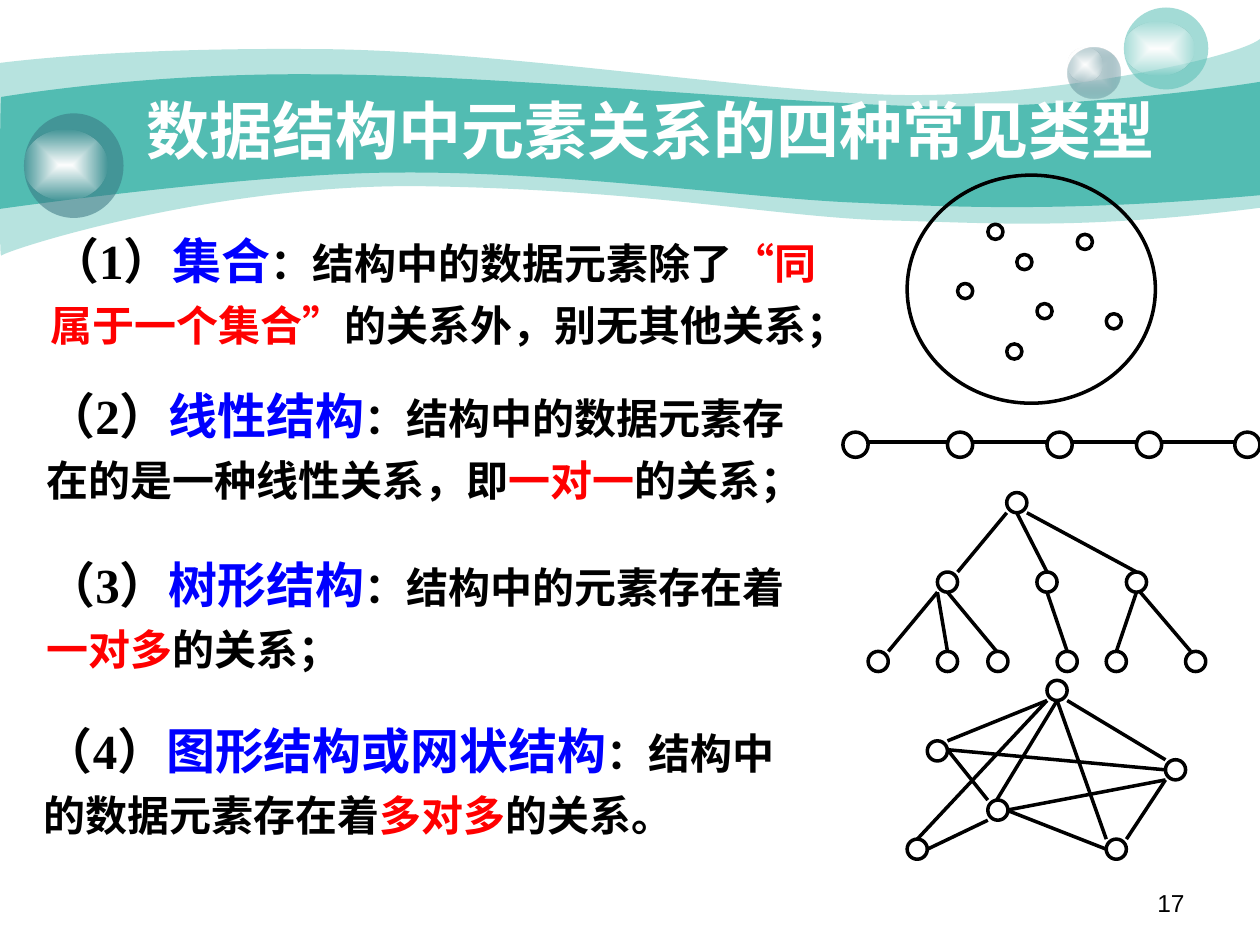
from lxml.etree import SubElement
from pptx import Presentation
from pptx.dml.color import RGBColor
from pptx.enum.lang import MSO_LANGUAGE_ID
from pptx.enum.shapes import MSO_CONNECTOR, MSO_SHAPE
from pptx.enum.text import MSO_ANCHOR, MSO_AUTO_SIZE, PP_ALIGN
from pptx.oxml.ns import qn
from pptx.util import Pt

PX = 9144  # 100 px to the inch
BLACK = RGBColor(0x00, 0x00, 0x00)
WHITE = RGBColor(0xFF, 0xFF, 0xFF)
BLUE = RGBColor(0x00, 0x00, 0xFF)
RED = RGBColor(0xFF, 0x00, 0x00)
TEAL = RGBColor(0x52, 0xBC, 0xB2)
SLATE = RGBColor(0x37, 0x73, 0x7F)
MIST = RGBColor(0xCC, 0xDB, 0xDE)


def emu(*lengths):
    return [length * PX for length in lengths]


def set_alpha(color_element, percent):
    SubElement(color_element, qn("a:alpha")).set("val", str(percent * 1000))


def fill_solid(shape, color, percent=100):
    shape.fill.solid()
    shape.fill.fore_color.rgb = color
    if percent < 100:
        set_alpha(shape.fill._xPr.find(f".//{qn('a:srgbClr')}"), percent)


def fill_glow(shape, center, edge, edge_percent):
    """Gradient that runs from the middle of the shape to its edges."""
    shape.fill.gradient()
    gradient = shape.fill._xPr.find(qn("a:gradFill"))
    for stop, color in zip(shape.fill.gradient_stops, (center, edge)):
        stop.color.rgb = color
    for position, element in zip(("0", "100000"), gradient.iter(qn("a:gs"))):
        element.set("pos", position)
    set_alpha(list(gradient.iter(qn("a:srgbClr")))[-1], edge_percent)
    gradient.remove(gradient.find(qn("a:lin")))
    path = SubElement(gradient, qn("a:path"), {"path": "rect"})
    SubElement(path, qn("a:fillToRect"), dict.fromkeys("ltrb", "50000"))


def add_oval(shapes, left, top, width, height):
    oval = shapes.add_shape(MSO_SHAPE.OVAL, *emu(left, top, width, height))
    oval.shadow.inherit = False
    oval.line.fill.background()
    return oval


def add_ring(shapes, left, top, width, height):
    ring = add_oval(shapes, left, top, width, height)
    ring.fill.background()
    ring.line.color.rgb = BLACK
    ring.line.width = Pt(2)


def add_edge(shapes, start_x, start_y, end_x, end_y):
    edge = shapes.add_connector(
        MSO_CONNECTOR.STRAIGHT, *emu(start_x, start_y, end_x, end_y))
    edge.line.color.rgb = BLACK
    edge.line.width = Pt(2)
    SubElement(edge._element.spPr, qn("a:effectLst"))


def bend(segments):
    """Turn each three straight segments into one cubic curve."""
    for index in range(0, len(segments), 3):
        first, *others = segments[index:index + 3]
        first.tag = qn("a:cubicBezTo")
        for segment in others:
            first.append(segment[0])
            segment.getparent().remove(segment)


def add_wave(shapes, upper, lower, color, percent=100):
    """Band between two chains of cubic curves, each given by its control points."""
    builder = shapes.build_freeform(*upper[0], scale=PX)
    builder.add_line_segments(upper[1:] + lower, close=True)
    wave = builder.convert_to_shape()
    segments = list(wave._element.iter(qn("a:lnTo")))
    bend(segments[:len(upper) - 1])
    bend(segments[len(upper):len(upper) + len(lower) - 1])
    wave.shadow.inherit = False
    wave.line.fill.background()
    fill_solid(wave, color, percent)


def add_banner(shapes):
    add_wave(
        shapes,
        [(0, 50), (24, 47), (107, 38), (247, 39), (386, 39), (575, 70), (699, 75),
         (822, 80), (980, 47), (1000, 31)],
        [(1000, 165), (858, 183), (787, 177), (705, 175), (622, 173), (515, 151),
         (343, 148), (172, 144), (4, 199), (1, 203), (-1, 208), (0, 75), (0, 50)],
        TEAL, 41)
    add_wave(
        shapes,
        [(1, 77), (2, 77), (110, 58), (248, 59), (386, 59), (595, 80), (718, 84),
         (841, 88), (976, 69), (1000, 65)],
        [(1000, 155), (853, 168), (765, 165), (682, 161), (599, 158), (447, 136),
         (317, 137), (203, 137), (-2, 166), (-1, 166), (0, 166), (0, 77), (1, 77)],
        TEAL)
    small, large, left = (shapes.add_group_shape().shapes for _ in range(3))
    fill_glow(add_oval(small, 847, 38, 42, 40), MIST, SLATE, 31)
    fill_glow(add_oval(small, 847, 38, 28, 27), WHITE, WHITE, 0)
    fill_solid(add_oval(large, 892, 6, 67, 65), TEAL, 53)
    fill_glow(add_oval(large, 892, 17, 56, 43), WHITE, WHITE, 0)
    fill_solid(add_oval(left, 19, 90, 79, 83), SLATE, 53)
    fill_glow(add_oval(left, 19, 103, 66, 56), WHITE, WHITE, 0)


def add_text(shapes, left, top, width, height, runs, font="Times New Roman", bold=True):
    """Text box of one paragraph; runs are (text, size, color)."""
    box = shapes.add_textbox(*emu(left, top, width, height))
    box.text_frame.word_wrap = True
    para = box.text_frame.paragraphs[0]
    for text, size, color in runs:
        span = para.add_run()
        span.text = text
        span.font.size = Pt(size)
        span.font.name = font
        span.font.bold = bold
        span.font.color.rgb = color
        span.font.language_id = MSO_LANGUAGE_ID.SIMPLIFIED_CHINESE
    return box.text_frame


def add_definition(shapes, left, top, width, number, name, lead, relation, ending):
    frame = add_text(shapes, left, top, width, 114, [
        (f"（{number}）", 28, BLACK), (name, 28, BLUE), (lead, 24, BLACK),
        (relation, 24, RED), (ending, 24, BLACK)])
    frame.auto_size = MSO_AUTO_SIZE.SHAPE_TO_FIT_TEXT
    frame.paragraphs[0].line_spacing = 1.2


def add_diagram(shapes, left, top, size, nodes, edges=()):
    """Equal rings and straight edges, placed from the left top corner."""
    for x, y in nodes:
        add_ring(shapes, left + x, top + y, size, size)
    for start_x, start_y, end_x, end_y in edges:
        add_edge(shapes, left + start_x, top + start_y, left + end_x, top + end_y)


def add_set(shapes, left, top):
    add_ring(shapes, left, top, 197, 181)
    add_diagram(shapes, left, top, 12, [
        (64, 39), (103, 102), (135, 47), (79, 134), (158, 110), (40, 86), (87, 63)])


def add_chain(shapes, left, top):
    size = 20
    starts = [0, 83, 162, 233, 311]
    add_diagram(shapes, left, top, size, [(x, 0) for x in starts],
                [(x + size, 8, following, 8)
                 for x, following in zip(starts, starts[1:])])


def add_tree(shapes, left, top):
    nodes = [(110, 0), (55, 63), (0, 126), (205, 63), (134, 63),
             (55, 126), (95, 126), (150, 126), (189, 126), (252, 126)]
    upper = [(110, 71), (118, 142), (126, 213)]
    lower = [(55, 16), (55, 63), (63, 102), (142, 158), (213, 197), (216, 256)]
    add_diagram(shapes, left, top, 16, nodes,
                [(start, 16, end, 63) for start, end in upper]
                + [(start, 79, end, 126) for start, end in lower])


def add_graph(shapes, left, top):
    add_diagram(
        shapes, left, top, 16,
        [(111, 0), (16, 48), (205, 63), (0, 126), (64, 95), (158, 126)],
        [(111, 16, 32, 48), (127, 16, 205, 63), (32, 55, 205, 71),
         (119, 16, 71, 95), (119, 16, 158, 126), (32, 55, 64, 95),
         (64, 111, 16, 134), (79, 103, 205, 79), (205, 79, 174, 126),
         (111, 16, 8, 126), (79, 103, 158, 134)])


def main():
    deck = Presentation()
    deck.slide_width, deck.slide_height = emu(1000, 750)
    shapes = deck.slides.add_slide(deck.slide_layouts[6]).shapes
    add_banner(shapes)
    number = add_text(shapes, 717, 700, 233, 35, [("17", 14, BLACK)], "Arial", False)
    number.paragraphs[0].alignment = PP_ALIGN.RIGHT
    add_definition(shapes, 30, 169, 654, 1, "集合", "：结构中的数据元素除了",
                   "“同属于一个集合”", "的关系外，别无其他关系；")
    add_set(shapes.add_group_shape().shapes, 720, 139)
    add_definition(shapes, 27, 292, 630, 2, "线性结构",
                   "：结构中的数据元素存在的是一种线性关系，即", "一对一", "的关系；")
    add_chain(shapes.add_group_shape().shapes, 669, 343)
    add_definition(shapes, 27, 426, 638, 3, "树形结构", "：结构中的元素存在着",
                   "一对多", "的关系；")
    add_definition(shapes, 25, 558, 630, 4, "图形结构或网状结构",
                   "：结构中的数据元素存在着", "多对多", "的关系。")
    add_tree(shapes.add_group_shape().shapes, 689, 391)
    add_graph(shapes.add_group_shape().shapes, 720, 540)
    title = add_text(shapes, 75, 63, 882, 79,
                     [("数据结构中元素关系的四种常见类型", 36, WHITE)])
    title.vertical_anchor = MSO_ANCHOR.MIDDLE
    title.paragraphs[0].alignment = PP_ALIGN.CENTER
    deck.save("out.pptx")


if __name__ == "__main__":
    main()
